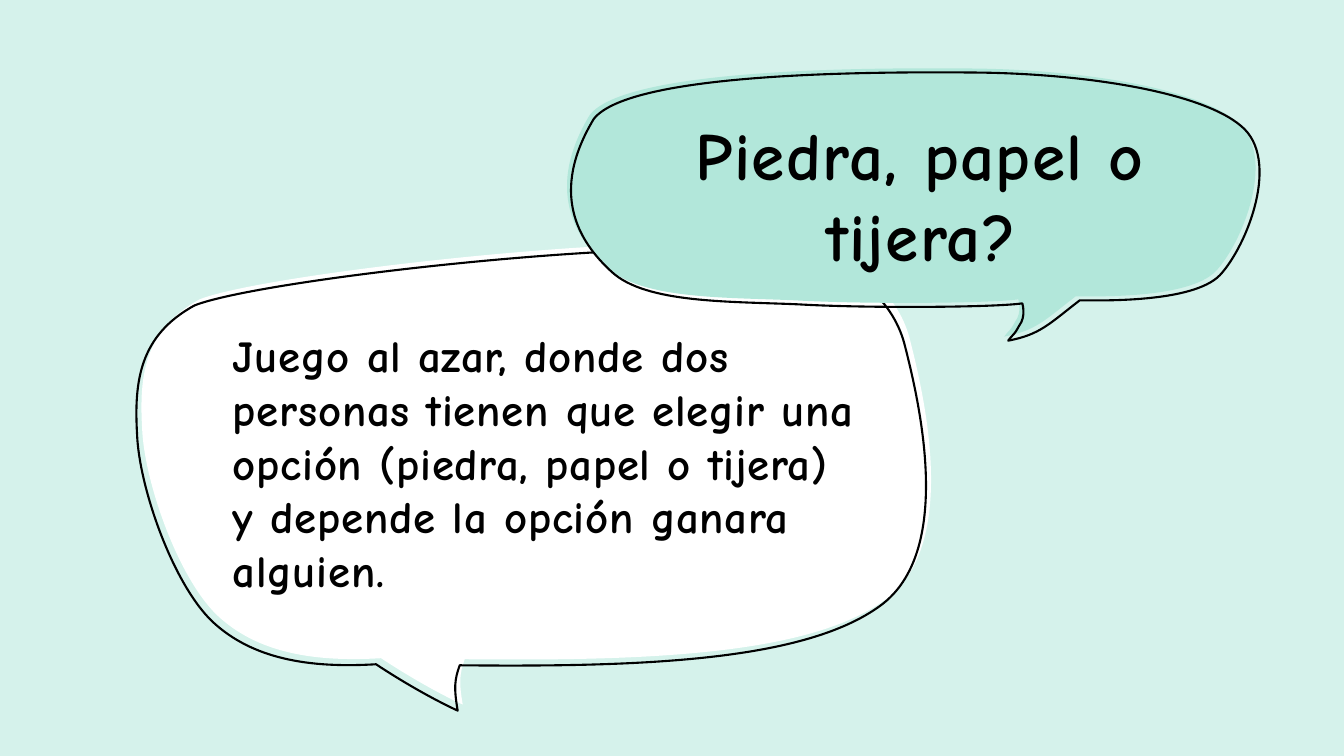
from dataclasses import dataclass

from lxml import etree
from pptx import Presentation
from pptx.dml.color import RGBColor
from pptx.enum.shapes import MSO_SHAPE
from pptx.enum.text import MSO_ANCHOR, MSO_AUTO_SIZE, PP_ALIGN
from pptx.oxml.ns import qn
from pptx.util import Emu, Pt

LEFT, CENTER = PP_ALIGN.LEFT, PP_ALIGN.CENTER
MIDDLE = MSO_ANCHOR.MIDDLE
NO_AUTOFIT = MSO_AUTO_SIZE.NONE
RECTANGLE = MSO_SHAPE.RECTANGLE

PX = 9144  # 100 px to the inch
SLIDE_SIZE = (1333, 750)
TITLE_AND_CONTENT = 1

TITLE = "Piedra, papel o tijera?"
TITLE_BOX = (643, 118, 541, 149)
BODY = (
    "Juego al azar, donde dos personas tienen que elegir una opción "
    "(piedra, papel o tijera) y depende la opción ganara alguien."
)
BODY_BOX = (221, 314, 641, 289)


@dataclass(frozen=True)
class Theme:
    background: str = "D5F2EB"
    white: str = "FFFFFF"
    mint: str = "B2E7DA"
    ink: str = "000000"
    font: str = "Comic Neue"
    title_size: int = 48
    body_size: int = 32
    outline_width: float = 1.5


THEME = Theme()

# Each bubble: start point, then curves as (control 1, control 2, end).
BUBBLES = [
    {
        "fill": THEME.white,
        "box": (140, 241, 784, 458),
        "outline_shift": (-5, 6),
        "start": (378, 653),
        "curves": [
            ((312, 657), (255, 648), (215, 610)),
            ((176, 572), (143, 477), (141, 425)),
            ((138, 373), (143, 327), (198, 297)),
            ((261, 272), (626, 230), (777, 243)),
            ((847, 251), (890, 290), (902, 335)),
            ((918, 397), (951, 542), (878, 595)),
            ((804, 649), (648, 656), (461, 654)),
            ((456, 668), (455, 676), (459, 699)),
            ((418, 680), (378, 653), (378, 653)),
        ],
    },
    {
        "fill": THEME.mint,
        "box": (562, 68, 683, 266),
        "outline_shift": (4, 4),
        "start": (1010, 297),
        "curves": [
            ((984, 301), (857, 302), (788, 298)),
            ((719, 295), (637, 297), (603, 266)),
            ((569, 235), (541, 187), (585, 114)),
            ((621, 68), (857, 67), (964, 68)),
            ((1071, 69), (1187, 87), (1227, 121)),
            ((1267, 154), (1233, 240), (1206, 269)),
            ((1179, 297), (1085, 294), (1067, 294)),
            ((1037, 317), (1028, 328), (996, 334)),
            ((1002, 326), (1001, 330), (1007, 319)),
            ((1014, 310), (1010, 297), (1010, 297)),
        ],
    },
]


def color(value):
    return RGBColor.from_string(value)


def emu(lengths):
    return [Emu(length * PX) for length in lengths]


def paint(shape, fill=None, line=None):
    shape.shadow.inherit = False
    if fill:
        shape.fill.solid()
        shape.fill.fore_color.rgb = color(fill)
    else:
        shape.fill.background()
    if line:
        shape.line.color.rgb = color(line)
        shape.line.width = Pt(THEME.outline_width)
    else:
        shape.line.fill.background()


def add_bubble(slide, bubble, shift=(0, 0), fill=None, line=None):
    """Build a freeform as large as the box, then give its path the curves."""
    left, top, width, height = bubble["box"]
    x, y = left + shift[0], top + shift[1]
    right, bottom = x + width, y + height
    builder = slide.shapes.build_freeform(x, y, scale=PX)
    builder.add_line_segments([(right, y), (right, bottom), (x, bottom)])
    shape = builder.convert_to_shape()

    path = next(shape.element.iter(qn("a:path")))
    for child in list(path):
        path.remove(child)
    steps = [("a:moveTo", [bubble["start"]])]
    steps += [("a:cubicBezTo", curve) for curve in bubble["curves"]]
    steps.append(("a:close", []))
    for tag, points in steps:
        step = etree.SubElement(path, qn(tag))
        for point_x, point_y in points:
            etree.SubElement(step, qn("a:pt"),
                             x=str(point_x - left), y=str(point_y - top))
    paint(shape, fill, line)


def write_text(shape, text, box, size, align=LEFT, spacing=0, space_before=0):
    """Place a placeholder above the bubbles; spacing is in points per letter."""
    shape.left, shape.top, shape.width, shape.height = emu(box)
    tree = shape.element.getparent()
    tree.append(shape.element)

    frame = shape.text_frame
    frame.word_wrap = True
    frame.auto_size = NO_AUTOFIT
    frame.vertical_anchor = MIDDLE
    paragraph = frame.paragraphs[0]
    paragraph.alignment = align
    paragraph.space_before = Pt(space_before)
    properties = paragraph._p.get_or_add_pPr()
    properties.set("marL", "0")
    properties.set("indent", "0")
    etree.SubElement(properties, qn("a:buNone"))

    run = paragraph.add_run()
    run.text = text
    run.font.name = THEME.font
    run.font.size = Pt(size)
    run.font.bold = True
    run.font.color.rgb = color(THEME.ink)
    run._r.get_or_add_rPr().set("spc", str(round(spacing * 100)))


def main():
    presentation = Presentation()
    presentation.slide_width, presentation.slide_height = emu(SLIDE_SIZE)
    slide = presentation.slides.add_slide(
        presentation.slide_layouts[TITLE_AND_CONTENT]
    )
    slide.background.fill.solid()
    slide.background.fill.fore_color.rgb = color(THEME.background)
    backdrop = slide.shapes.add_shape(RECTANGLE, 0, 0, *emu(SLIDE_SIZE))
    paint(backdrop, fill=THEME.background)

    for bubble in BUBBLES:
        add_bubble(slide, bubble, fill=bubble["fill"])
        add_bubble(slide, bubble, shift=bubble["outline_shift"], line=THEME.ink)

    write_text(slide.shapes.title, TITLE, TITLE_BOX, THEME.title_size,
               align=CENTER, spacing=1)
    write_text(slide.placeholders[1], BODY, BODY_BOX, THEME.body_size,
               spacing=0.5, space_before=10)
    presentation.save("out.pptx")


if __name__ == "__main__":
    main()
